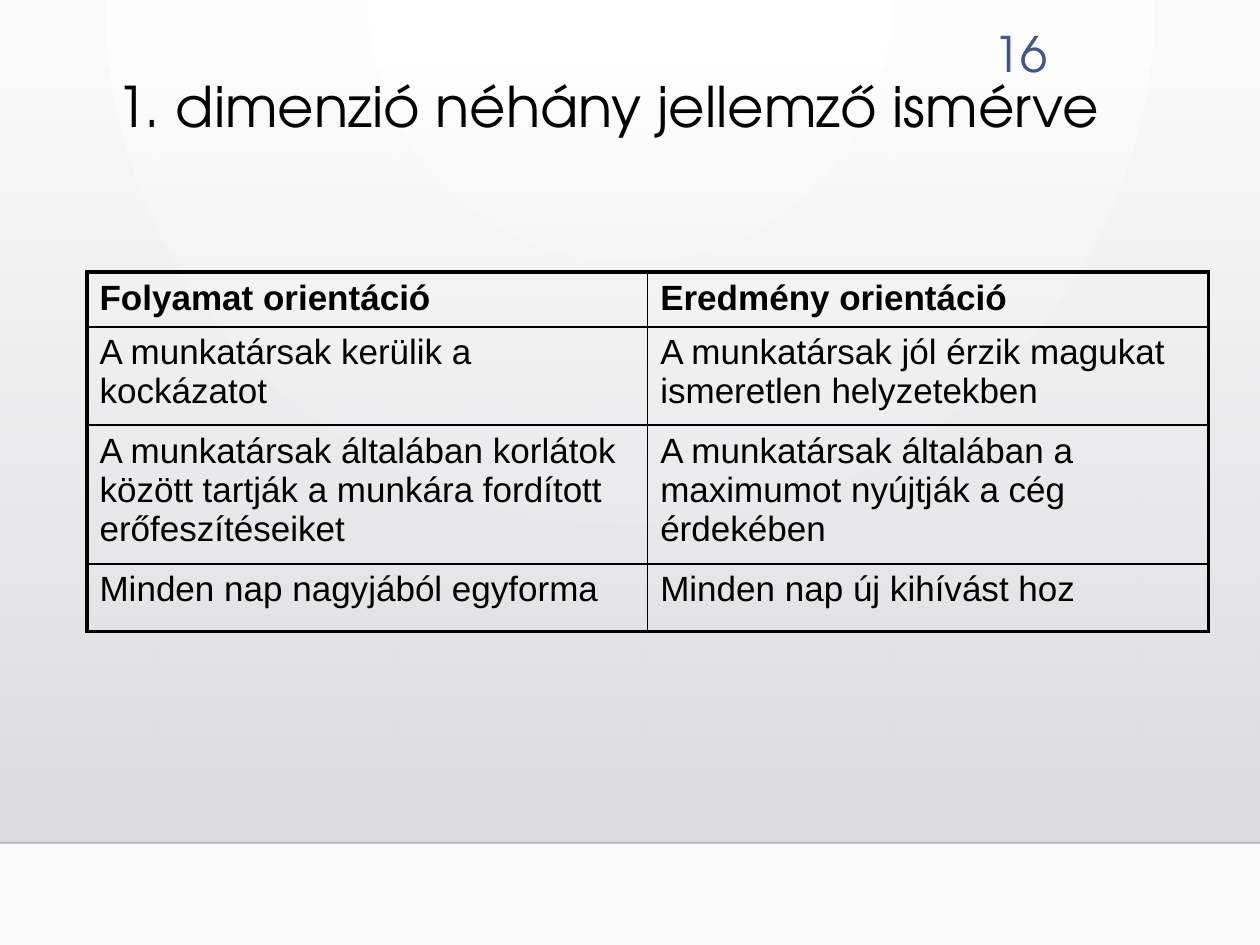
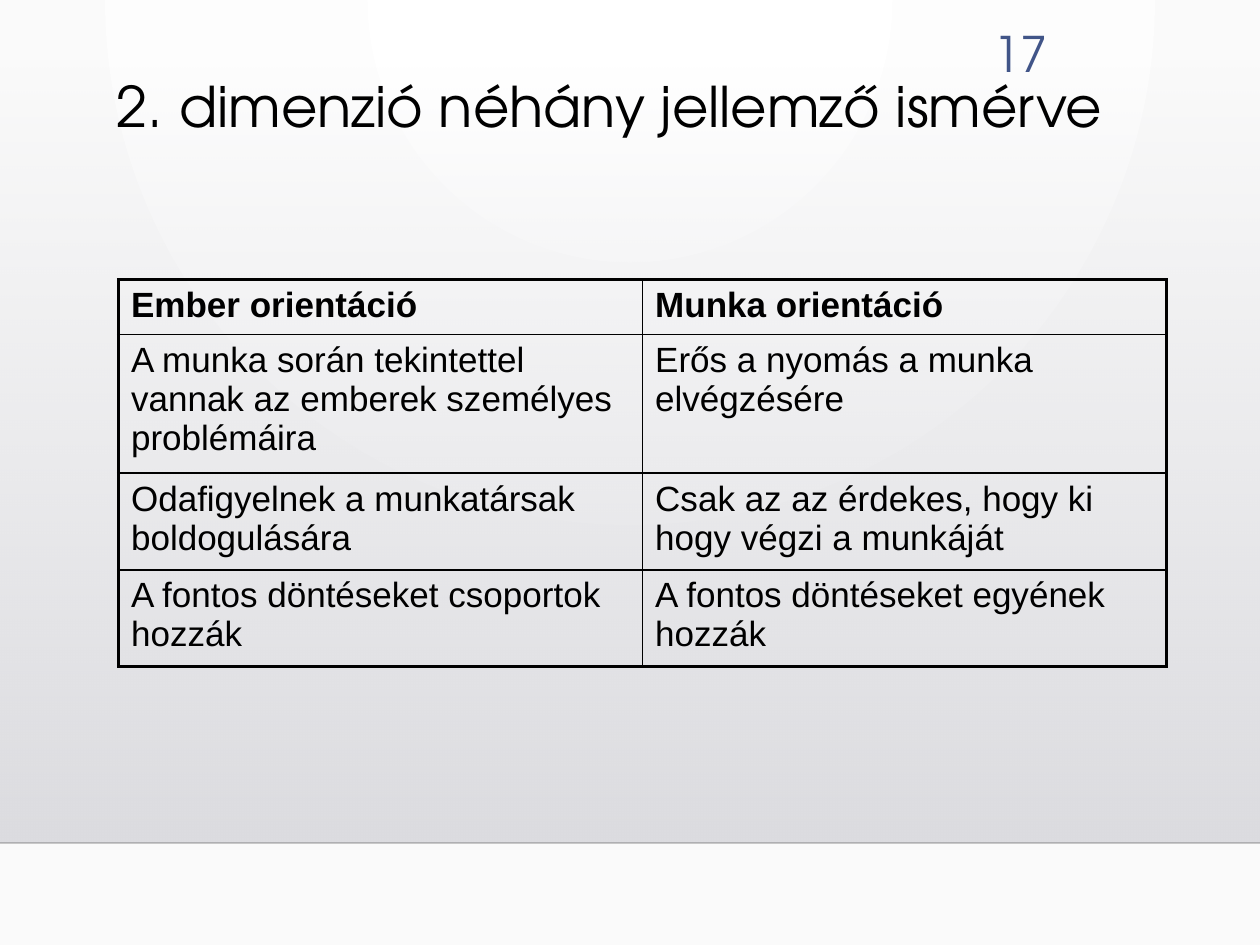
"""Build two slides comparing organisational culture dimensions in tables."""
from lxml.etree import SubElement
from pptx import Presentation
from pptx.dml.color import RGBColor
from pptx.enum.shapes import MSO_CONNECTOR as CONN, MSO_SHAPE as SHAPE
from pptx.enum.text import PP_ALIGN as ALIGN
from pptx.oxml import parse_xml
from pptx.oxml.ns import nsdecls, qn
from pptx.util import Inches, Pt

BLACK = RGBColor(0, 0, 0)
WHITE = RGBColor(0xFF, 0xFF, 0xFF)
PAPER = RGBColor(0xFA, 0xFA, 0xFA)
BAND_TOP = RGBColor(0xDC, 0xDC, 0xE0)
BAND_BOTTOM = RGBColor(0xDE, 0xDE, 0xE2)
BLUE = RGBColor(0x41, 0x55, 0x88)
HEAD_FONT, BODY_FONT = "TeX Gyre Adventor", "Arial"
THICK, THIN = Pt(2.25), Pt(1)

prs = Presentation()
prs.slide_width, prs.slide_height = Inches(10), Inches(7.5)
W, H = prs.slide_width, prs.slide_height
BAND_Y, FLOOR_Y = Inches(0.51), Inches(6.69)

SLIDES = [
    ("16", "1. dimenzió néhány jellemző ismérve ", 0.69, 2.16, 4.45, (0.41, 0.78, 1.03, 0.54), [
        ("Folyamat orientáció ", "Eredmény orientáció"),
        ("A munkatársak kerülik a kockázatot",
         "A munkatársak jól érzik magukat ismeretlen helyzetekben"),
        ("A munkatársak általában korlátok között tartják a munkára fordított erőfeszítéseiket",
         "A munkatársak általában a maximumot nyújtják a cég érdekében"),
        ("Minden nap nagyjából egyforma", "Minden nap új kihívást hoz")]),
    ("17", "2. dimenzió néhány jellemző ismérve ", 0.94, 2.22, 4.16, (0.41, 1.02, 0.72, 0.72), [
        ("Ember orientáció", "Munka orientáció"),
        ("A munka során tekintettel vannak az emberek személyes problémáira",
         "Erős a nyomás a munka elvégzésére"),
        ("Odafigyelnek a munkatársak boldogulására",
         "Csak az az érdekes, hogy ki hogy végzi a munkáját"),
        ("A fontos döntéseket csoportok hozzák", "A fontos döntéseket egyének hozzák")]),
]


def add_text(s, text, box, size, color):
    tf = s.shapes.add_textbox(*map(Inches, box)).text_frame
    tf.word_wrap = True
    p = tf.paragraphs[0]
    p.text = text
    p.font.name, p.font.size, p.font.color.rgb = HEAD_FONT, Pt(size), color
    return p


def set_gradient(fill, start, end):
    fill.gradient()
    for stop, color, pos in zip(fill.gradient_stops, (start, end), (0, 1)):
        stop.color.rgb, stop.position = color, pos


for number, title, left, top, col_w, heights, rows in SLIDES:
    s = prs.slides.add_slide(prs.slide_layouts[6])
    set_gradient(s.background.fill, WHITE, PAPER)
    lin = s.element.find(".//" + qn("a:lin"))
    lin.getparent().replace(lin, parse_xml(
        f'<a:path {nsdecls("a")} path="circle">'
        '<a:fillToRect l="43000" t="0" r="43000" b="100000"/></a:path>'))

    band = s.shapes.add_shape(SHAPE.RECTANGLE, 0, BAND_Y, W, FLOOR_Y - BAND_Y)
    band.shadow.inherit = False
    band.line.fill.background()
    set_gradient(band.fill, BAND_TOP, BAND_BOTTOM)
    band.fill.gradient_angle = 270
    clear = band.element.find(".//" + qn("a:gs")).find(qn("a:srgbClr"))
    SubElement(clear, qn("a:alpha"), val="0")

    floor = s.shapes.add_connector(CONN.STRAIGHT, 0, FLOOR_Y, W, FLOOR_Y)
    floor.line.color.rgb, floor.line.width = BLACK, THIN
    SubElement(floor.element.find(".//" + qn("a:srgbClr")), qn("a:alpha"), val="20000")
    SubElement(floor.element.spPr, qn("a:effectLst"))

    add_text(s, number, (7.54, 0.14, 0.87, 0.55), 28, BLUE).alignment = ALIGN.RIGHT
    add_text(s, title, (0.83, 0.58, 8.42, 0.92), 32, BLACK).line_spacing = 0.9

    table = s.shapes.add_table(len(rows), 2, Inches(left), Inches(top),
                               Inches(2 * col_w), Inches(sum(heights))).table
    table.first_row = table.horz_banding = False
    for col in table.columns:
        col.width = Inches(col_w)
    for i, (row, height) in enumerate(zip(rows, heights)):
        table.rows[i].height = Inches(height)
        for j, text in enumerate(row):
            cell = table.cell(i, j)
            outer = {"L": j == 0, "R": j == 1, "T": i == 0, "B": i == len(rows) - 1}
            tcPr = cell._tc.get_or_add_tcPr()
            for side, thick in outer.items():
                tcPr.append(parse_xml(
                    f'<a:ln{side} {nsdecls("a")} w="{THICK if thick else THIN}">'
                    f'<a:solidFill><a:srgbClr val="{BLACK}"/></a:solidFill></a:ln{side}>'))
            cell.fill.background()
            p = cell.text_frame.paragraphs[0]
            p.text = text
            p.font.name, p.font.size, p.font.bold = BODY_FONT, Pt(20), i == 0
            p.font.color.rgb = BLACK

prs.save("out.pptx")
